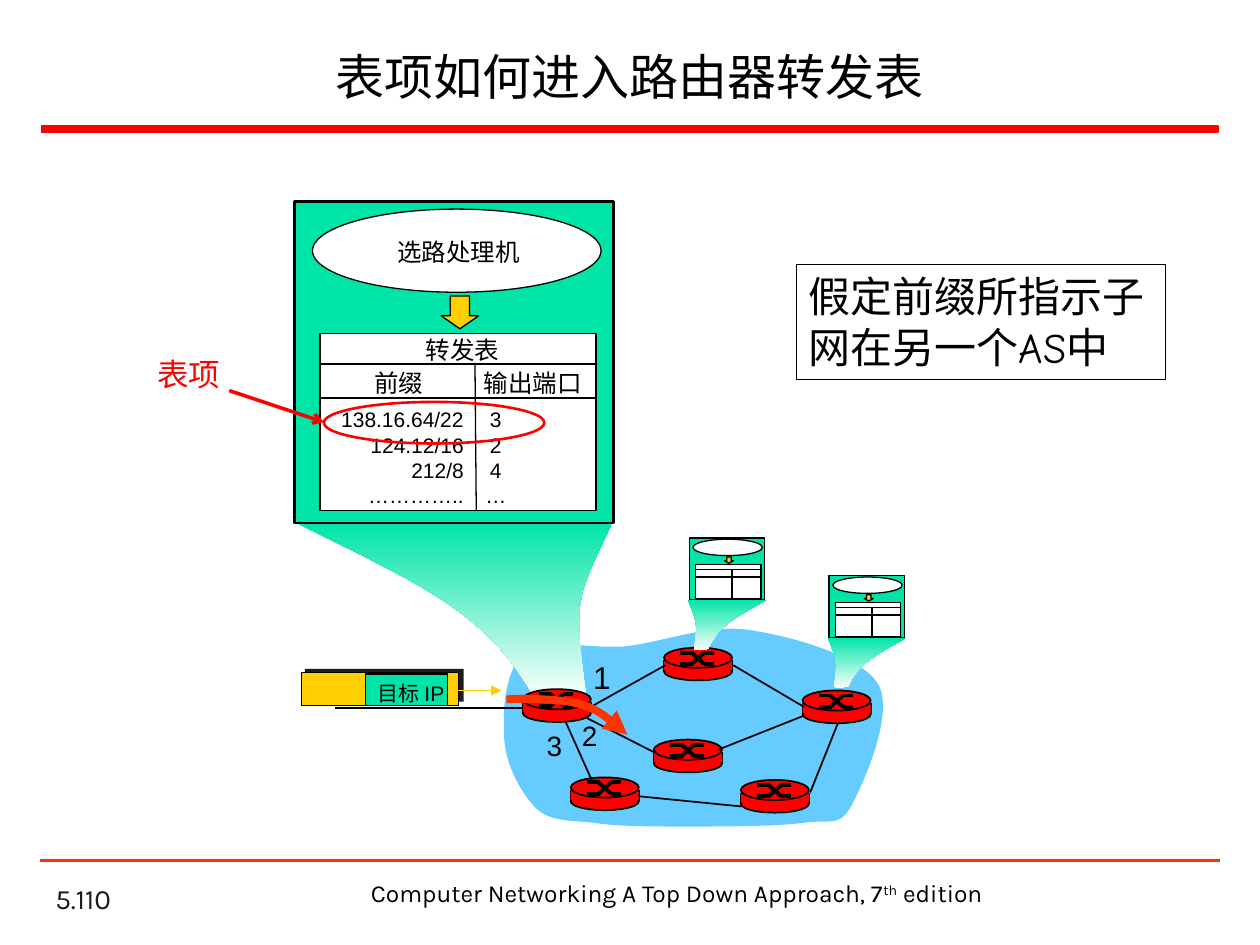
from lxml import etree
from pptx import Presentation
from pptx.dml.color import RGBColor
from pptx.enum.shapes import MSO_CONNECTOR, MSO_SHAPE
from pptx.enum.text import MSO_ANCHOR, MSO_AUTO_SIZE, PP_ALIGN
from pptx.oxml.ns import qn
from pptx.util import Inches, Pt

STRAIGHT = MSO_CONNECTOR.STRAIGHT
RECTANGLE, ELLIPSE, RIGHT_ARROW = MSO_SHAPE.RECTANGLE, MSO_SHAPE.OVAL, MSO_SHAPE.RIGHT_ARROW
LEFT, CENTER, RIGHT = PP_ALIGN.LEFT, PP_ALIGN.CENTER, PP_ALIGN.RIGHT
TOP, MIDDLE, BOTTOM = MSO_ANCHOR.TOP, MSO_ANCHOR.MIDDLE, MSO_ANCHOR.BOTTOM
FIT_SHAPE = MSO_AUTO_SIZE.SHAPE_TO_FIT_TEXT

BLACK, WHITE, RED, GREEN = "000000", "FFFFFF", "FF0000", "00E4A8"
YELLOW, ORANGE, SKY, DARK = "FFCF01", "FF3300", "66CCFF", "1C1C1C"


def color(value):
    return RGBColor.from_string(value)


def style(shape, fill=None, line=None, width=0.75):
    shape.shadow.inherit = False
    if fill:
        shape.fill.solid()
        shape.fill.fore_color.rgb = color(fill)
    else:
        shape.fill.background()
    if line:
        shape.line.color.rgb = color(line)
        shape.line.width = Pt(width)
    else:
        shape.line.fill.background()


def add_shape(shapes, kind, box, fill=None, line=None, width=0.75):
    shape = shapes.add_shape(kind, *map(Inches, box))
    style(shape, fill, line, width)
    return shape


def add_arrowhead(shape, kind):
    etree.SubElement(shape.line._get_or_add_ln(), qn("a:tailEnd"), type=kind)


def add_line(shapes, start, end, line=BLACK, width=0.75, head=None):
    connector = shapes.add_connector(STRAIGHT, *map(Inches, (*start, *end)))
    connector.line.color.rgb = color(line)
    connector.line.width = Pt(width)
    if head:
        add_arrowhead(connector, head)
    etree.SubElement(connector._element.spPr, qn("a:effectLst"))


def write(frame, lines, size, font="Arial", ink=BLACK, align=LEFT, anchor=TOP):
    frame.vertical_anchor = anchor
    frame.text = "\n".join(lines)
    for paragraph in frame.paragraphs:
        paragraph.alignment = align
        paragraph.font.size = Pt(size)
        paragraph.font.name = font
        paragraph.font.color.rgb = color(ink)


def add_text(slide, box, lines, size, wrap=True, **options):
    frame = slide.shapes.add_textbox(*map(Inches, box)).text_frame
    write(frame, lines, size, **options)
    frame.word_wrap = wrap
    if not wrap:
        frame.auto_size = FIT_SHAPE
    return frame


def add_curve(slide, start, curves, closed=True):
    """Draw cubic curves, each given as two control points and an end point."""
    builder = slide.shapes.build_freeform(*map(Inches, start))
    builder.add_line_segments([tuple(map(Inches, point)) for curve in curves for point in curve],
                              close=closed)
    shape = builder.convert_to_shape()
    # Merge every three line segments into one cubic segment.
    segments = list(shape._element.iter(qn("a:lnTo")))
    for first in range(0, len(segments), 3):
        cubic = etree.Element(qn("a:cubicBezTo"))
        segments[first].addprevious(cubic)
        for segment in segments[first:first + 3]:
            cubic.append(segment[0])
            segment.getparent().remove(segment)
    return shape


def add_cone(slide, start, curves):
    cone = add_curve(slide, start, curves)
    style(cone)
    cone.fill.gradient()
    cone.fill.gradient_angle = 270
    for stop, value in zip(cone.fill.gradient_stops, (GREEN, WHITE)):
        stop.color.rgb = color(value)


def add_frame(slide):
    """Place the title, the rules and the footer."""
    title = slide.shapes.title
    title.left, title.top, title.width, title.height = map(Inches, (0.37, 0.25, 9.25, 0.7))
    write(title.text_frame, ["表项如何进入路由器转发表"], 28, "Karla", align=CENTER, anchor=MIDDLE)
    add_shape(slide.shapes, RECTANGLE, (0.33, 1, 9.34, 0.05), RED, RED, 1)
    add_line(slide.shapes, (0.32, 6.83), (9.68, 6.83), ORANGE, 1.5)
    add_text(slide, (0.34, 6.98, 2.08, 0.33), ["5.110"], 16, font="Karla", ink=DARK, anchor=BOTTOM)
    footer = add_text(slide, (2.83, 6.92, 5.08, 0.34), ["Computer Networking A Top Down Approach, 7"],
                      14, font="Karla", align=CENTER)
    ordinal, edition = (footer.paragraphs[0].add_run() for _ in range(2))
    ordinal.text, edition.text = "th", " edition"
    ordinal._r.get_or_add_rPr().set("baseline", "30000")


def add_cloud(slide):
    cloud = add_curve(slide, (4, 5.79), [
        ((3.99, 5.59), (4.02, 5.28), (4.18, 5.17)), ((4.34, 5.06), (4.66, 5.15), (4.96, 5.13)),
        ((5.25, 5.1), (5.61, 4.95), (5.95, 5)), ((6.28, 5.05), (6.83, 5.2), (6.97, 5.43)),
        ((7.1, 5.66), (6.86, 6.2), (6.76, 6.39)), ((6.66, 6.57), (6.6, 6.5), (6.38, 6.53)),
        ((6.16, 6.56), (5.73, 6.56), (5.45, 6.56)), ((5.17, 6.56), (4.91, 6.56), (4.71, 6.53)),
        ((4.51, 6.51), (4.35, 6.52), (4.24, 6.4)), ((4.12, 6.27), (3.99, 6.03), (4, 5.79))])
    style(cloud, SKY)


def add_router(slide, left, top):
    shapes = slide.shapes.add_group_shape().shapes
    add_shape(shapes, ELLIPSE, (left, top + 0.12, 0.54, 0.14), RED, BLACK, 1)
    for x in (left, left + 0.54):
        add_line(shapes, (x, top + 0.1), (x, top + 0.19), width=1)
    add_shape(shapes, RECTANGLE, (left, top + 0.1, 0.54, 0.08), RED)
    add_shape(shapes, ELLIPSE, (left, top, 0.54, 0.16), RED, BLACK, 1)
    upper, lower = top + 0.04, top + 0.13
    for y, opposite in ((upper, lower), (lower, upper)):
        add_line(shapes, (left + 0.13, y), (left + 0.23, y), width=2.25)
        add_line(shapes, (left + 0.22, y), (left + 0.32, opposite), width=2.25)
        add_line(shapes, (left + 0.32, y), (left + 0.4, y), width=2.25)


def add_network(slide):
    for left, top in ((4.15, 5.47), (4.53, 6.17), (5.27, 5.14),
                      (5.19, 5.87), (5.88, 6.19), (6.37, 5.48)):
        add_router(slide, left, top)
    links = [((4.69, 5.61), (5.28, 5.28)), ((5.82, 5.28), (6.38, 5.61)),
             ((4.66, 5.7), (5.19, 5.97)), ((5.7, 5.95), (6.38, 5.68)),
             ((6.43, 6.29), (6.65, 5.74)), ((5.88, 6.4), (5.07, 6.32)),
             ((4.7, 6.2), (4.49, 5.73))]
    for start, end in links:
        add_line(slide.shapes, start, end, width=1)
    for label, left, top, size in (("1", 4.61, 5.17, 18), ("2", 4.52, 5.65, 16), ("3", 4.24, 5.73, 16)):
        add_text(slide, (left, top, 0.33, 0.37), [label], size, wrap=False)


def add_packet(slide, left, top):
    shapes = slide.shapes
    add_shape(shapes, RECTANGLE, (left + 0.03, top - 0.03, 1.26, 0.26), DARK)
    add_shape(shapes, RECTANGLE, (left, top, 1.25, 0.26), YELLOW, BLACK)
    add_line(shapes, (left + 1.13, top + 0.14), (left + 1.59, top + 0.14), YELLOW, head="triangle")
    add_shape(shapes, RECTANGLE, (left + 0.51, top + 0.01, 0.65, 0.25), GREEN, BLACK)
    add_text(slide, (left + 0.51, top + 0.01, 0.75, 0.3), ["目标 IP"], 12)
    add_line(shapes, (left + 1.75, top + 0.28), (left + 0.27, top + 0.28))


def add_down_arrow(shapes, box):
    """Place an arrow whose box is given before its quarter turn."""
    arrow = add_shape(shapes, RIGHT_ARROW, box, YELLOW, BLACK)
    arrow.rotation = 90
    arrow.adjustments[0], arrow.adjustments[1] = 0.51, 0.4


def add_processor(slide, left, top):
    """Place the routing processor above its forwarding table."""
    shapes = slide.shapes
    add_shape(shapes, RECTANGLE, (left, top, 2.53, 2.55), GREEN, BLACK, 1.5)
    add_shape(shapes, ELLIPSE, (left + 0.14, top + 0.06, 2.29, 0.66), WHITE, BLACK)
    add_text(slide, (left + 0.28, top + 0.23, 2.04, 0.33), ["选路处理机"], 14, align=CENTER)
    table = left + 0.2
    add_shape(shapes, RECTANGLE, (table, top + 1.05, 2.19, 1.4), WHITE, BLACK)
    add_text(slide, (left + 0.94, top + 1.01, 0.79, 0.34), ["转发表"], 14, wrap=False)
    for heading, x, width in (("前缀", 0.16, 1.33), ("输出端口", 1.32, 1.14)):
        add_text(slide, (left + x, top + 1.27, width, 0.33), [heading], 14, align=CENTER)
    add_line(shapes, (left + 1.43, top + 1.28), (left + 1.44, top + 2.45))
    add_text(slide, (left + 0.23, top + 1.58, 1.21, 0.91),
             ["138.16.64/22", "124.12/16", "212/8", "………….."], 12, wrap=False, align=RIGHT)
    add_text(slide, (left + 1.41, top + 1.58, 0.37, 0.91), ["3", "2", "4", "…"], 12, wrap=False, align=CENTER)
    for y in (top + 1.56, top + 1.29):
        add_line(shapes, (table, y), (table + 2.19, y))
    add_down_arrow(shapes, (left + 1.18, top + 0.73, 0.26, 0.3))


def add_small_processor(slide, left, top):
    def at(x, y):
        return left + x, top + y

    add_cone(slide, at(0.62, 0.49), [
        (at(0.37, 0.63), at(0.24, 0.69), at(0.15, 0.88)), (at(0.1, 0.88), at(0.09, 0.9), at(0.04, 0.88)),
        (at(0.07, 0.66), at(0.06, 0.67), at(-0.01, 0.49)), (at(0.24, 0.49), at(0.52, 0.49), at(0.62, 0.49))])
    shapes = slide.shapes.add_group_shape().shapes
    add_shape(shapes, RECTANGLE, (left, top, 0.6, 0.49), GREEN, BLACK)
    add_shape(shapes, ELLIPSE, (*at(0.03, 0.01), 0.55, 0.13), WHITE, BLACK)
    add_shape(shapes, RECTANGLE, (*at(0.05, 0.21), 0.52, 0.27), WHITE, BLACK)
    add_line(shapes, at(0.34, 0.25), at(0.34, 0.48))
    for y in (0.31, 0.25):
        add_line(shapes, at(0.05, y), at(0.57, y))
    add_down_arrow(shapes, (*at(0.29, 0.14), 0.05, 0.07))


def add_callouts(slide):
    """Mark the table entry and state the assumption."""
    add_shape(slide.shapes, ELLIPSE, (2.57, 3.19, 1.75, 0.33), line=RED, width=1.5)
    add_text(slide, (1.15, 2.77, 0.71, 0.4), ["表项"], 18, wrap=False, ink=RED)
    add_line(slide.shapes, (1.82, 3.1), (2.57, 3.35), RED, 2, "arrow")
    note = add_shape(slide.shapes, RECTANGLE, (6.32, 2.1, 2.93, 0.91), line=BLACK)
    write(note.text_frame, ["假定前缀所指示子网在另一个AS中"], 24, "Comic Neue")


def main():
    presentation = Presentation()
    presentation.slide_width, presentation.slide_height = Inches(10), Inches(7.5)
    slide = presentation.slides.add_slide(presentation.slide_layouts[5])
    add_frame(slide)
    add_cloud(slide)
    add_cone(slide, (2.35, 4.15), [
        ((3.34, 4.64), (3.84, 4.85), (4.22, 5.5)), ((4.41, 5.49), (4.47, 5.56), (4.65, 5.51)),
        ((4.55, 4.75), (4.57, 4.76), (4.86, 4.15)), ((3.86, 4.15), (2.76, 4.15), (2.35, 4.15))])
    add_network(slide)
    add_packet(slide, 2.39, 5.34)
    add_processor(slide, 2.34, 1.6)
    route = add_curve(slide, (4.02, 5.55), [((4.19, 5.54), (4.43, 5.55), (4.58, 5.58)),
                                            ((4.74, 5.63), (4.89, 5.74), (4.98, 5.83))], closed=False)
    style(route, line=ORANGE, width=4.5)
    add_arrowhead(route, "triangle")
    for left, top in ((6.58, 4.57), (5.47, 4.27)):
        add_small_processor(slide, left, top)
    add_callouts(slide)
    presentation.save("out.pptx")


if __name__ == "__main__":
    main()
